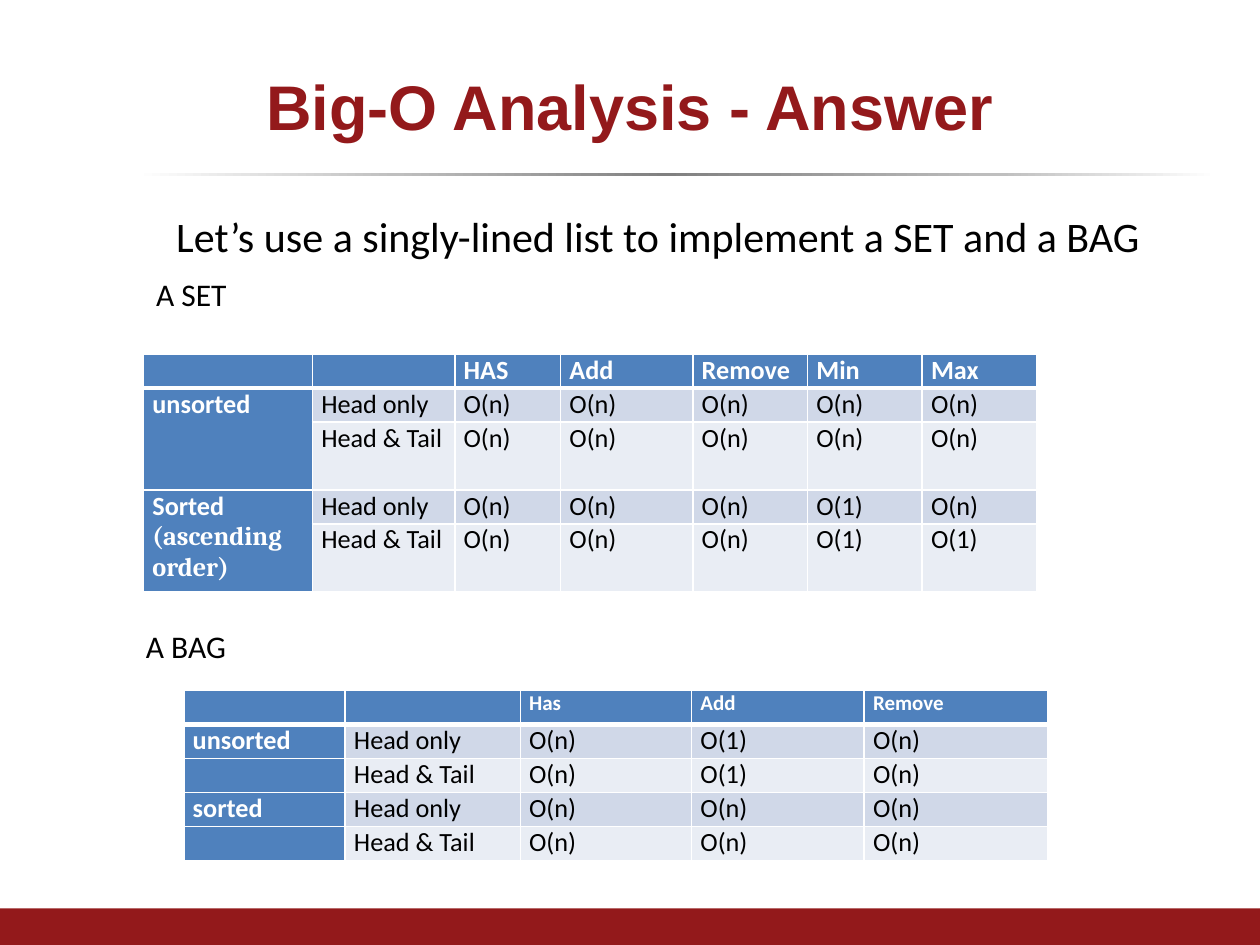
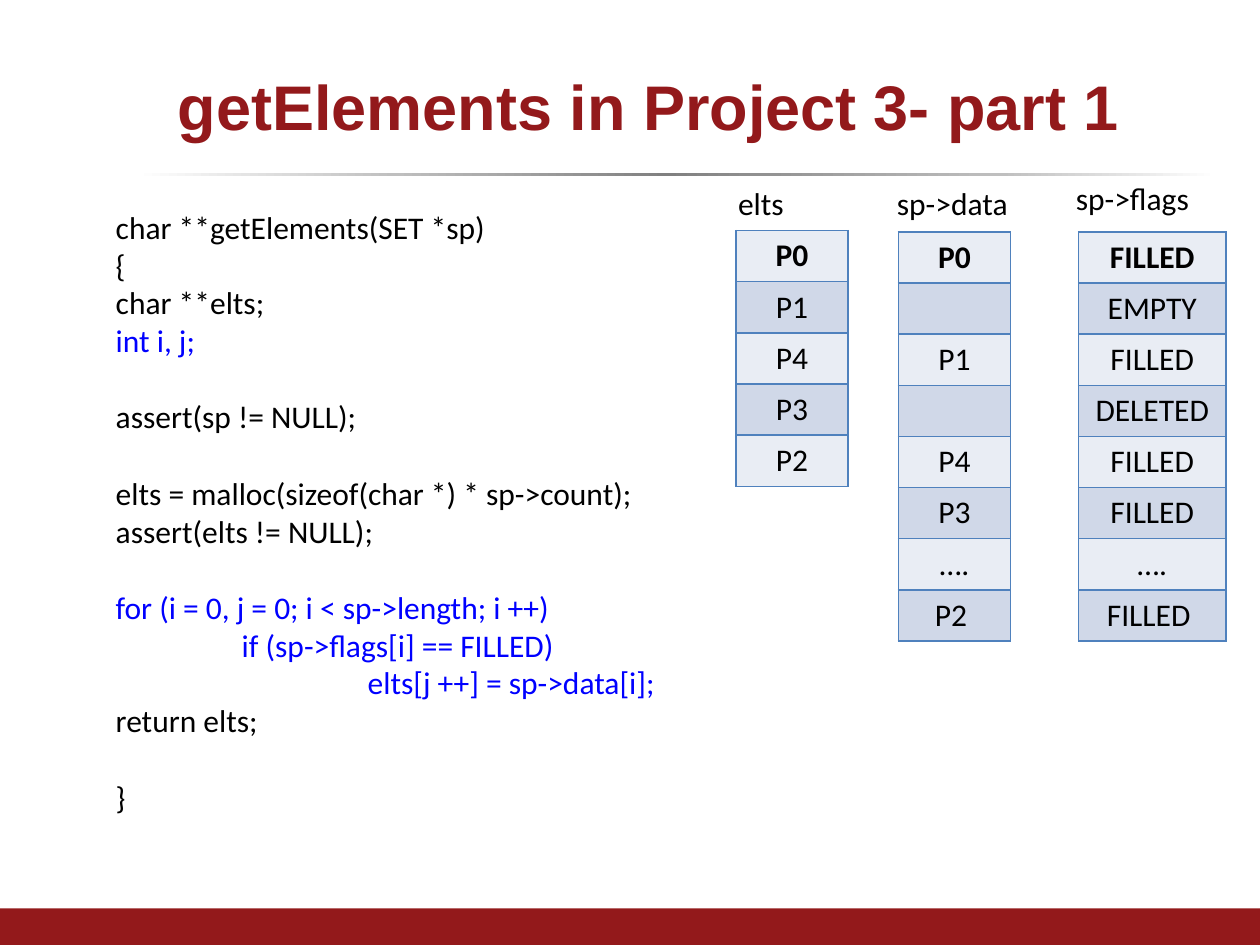
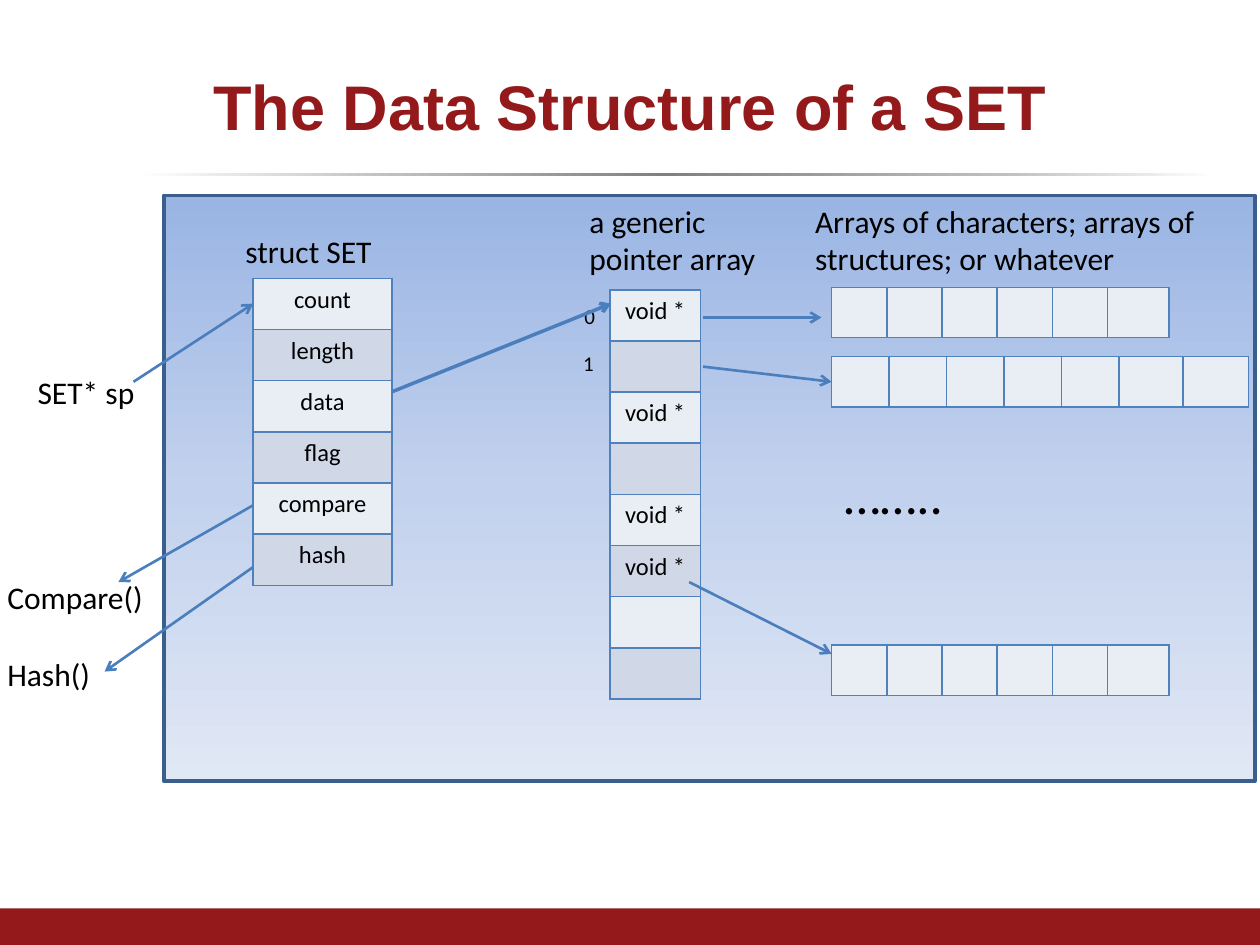
from lxml import etree
from pptx import Presentation
from pptx.dml.color import RGBColor
from pptx.enum import shapes, text
from pptx.oxml import ns
from pptx import util as u

RED = RGBColor(0x93, 0x19, 0x1B)
BLUE = RGBColor(0x4F, 0x81, 0xBD)
ARROW = RGBColor(0x4B, 0x7E, 0xBC)
FRAME = RGBColor(0x3A, 0x5F, 0x8C)
DARK = RGBColor(0xD0, 0xD8, 0xE8)
LIGHT = RGBColor(0xE9, 0xED, 0xF4)
WHITE = RGBColor(0xFF, 0xFF, 0xFF)
BLACK = RGBColor(0, 0, 0)
CODE = RGBColor(0, 0, 0xFF)
RULE = [(0, "FFFFFF"), (24, "BFBFBF"), (49, "808080"), (80, "BFBFBF"), (100, "FFFFFF")]
PANEL = [(0, "9AB5E4"), (50, "C2D1ED"), (100, "E1E8F5")]
LEFT, CENTER = text.PP_ALIGN.LEFT, text.PP_ALIGN.CENTER
COLUMNS, ROWS = 100, 75


def child(parent, tag, **attributes):
    return etree.SubElement(parent, ns.qn(tag), **attributes)


def write(frame, words, size=18, color=BLACK, font="Calibri", bold=False,
          align=LEFT, gap=0, indent=0, first=True):
    para = frame.paragraphs[0] if first else frame.add_paragraph()
    para.alignment = align
    para.space_before = u.Pt(gap)
    if indent:
        para._p.get_or_add_pPr().set("marL", str(u.Inches(indent)))
    if not words:
        para._p.get_or_add_endParaRPr().set("sz", str(size * 100))
        return
    span = para.add_run()
    span.text = words
    span.font.size = u.Pt(size)
    span.font.name = font
    span.font.bold = bold
    span.font.color.rgb = color


class Deck:
    def __init__(self):
        self.deck = Presentation()
        self.deck.slide_width, self.deck.slide_height = u.Inches(10), u.Inches(7.5)
        self.page = None

    def across(self, columns):
        return round(self.deck.slide_width * columns / COLUMNS)

    def down(self, rows):
        return round(self.deck.slide_height * rows / ROWS)

    def place(self, left, top, width, height):
        return self.across(left), self.down(top), self.across(width), self.down(height)

    def start(self, title, left=5):
        self.page = self.deck.slides.add_slide(self.deck.slide_layouts[6])
        self.gradient((10.8, 13.7, 85.8, 0.3), RULE)
        self.rectangle((0, 72.1, 100, 2.9), RED)
        frame = self.text((left, 3, 90, 10.7), title, size=36, color=RED,
                          font="Arial", bold=True, align=CENTER)
        frame.vertical_anchor = text.MSO_ANCHOR.MIDDLE

    def rectangle(self, area, color=None):
        box = self.page.shapes.add_shape(shapes.MSO_SHAPE.RECTANGLE, *self.place(*area))
        box.shadow.inherit = False
        box.line.fill.background()
        if color is not None:
            box.fill.solid()
            box.fill.fore_color.rgb = color
        return box

    def gradient(self, area, stops, angle=0):
        box = self.rectangle(area)
        box.fill.gradient()
        box.fill.gradient_angle = angle
        stop_list = box._element.spPr.find(".//" + ns.qn("a:gsLst"))
        for stop in list(stop_list):
            stop_list.remove(stop)
        for share, color in stops:
            stop = child(stop_list, "a:gs", pos=str(share * 1000))
            child(stop, "a:srgbClr", val=color)
        return box

    def text(self, area, words, **style):
        frame = self.page.shapes.add_textbox(*self.place(*area)).text_frame
        frame.word_wrap = True
        write(frame, words, **style)
        return frame

    def arrow(self, start, end, weight=1.5):
        line = self.page.shapes.add_connector(
            shapes.MSO_CONNECTOR.STRAIGHT,
            self.across(start[0]), self.down(start[1]), self.across(end[0]), self.down(end[1]))
        line.line.color.rgb = ARROW
        line.line.width = u.Pt(weight)
        child(line.line._get_or_add_ln(), "a:tailEnd", type="arrow")
        child(line._element.spPr, "a:effectLst")

    def borders(self, cell, color, bottom=1):
        properties = cell._tc.get_or_add_tcPr()
        for side, weight in zip("LRTB", (1, 1, 1, bottom)):
            edge = child(properties, "a:ln" + side, w=str(u.Pt(weight)))
            child(child(edge, "a:solidFill"), "a:srgbClr", val=str(color))

    def table(self, left, top, widths, heights):
        area = self.place(left, top, sum(widths), sum(heights))
        grid = self.page.shapes.add_table(len(heights), len(widths), *area).table
        grid.first_row = grid.horz_banding = False
        for column, width in zip(grid.columns, widths):
            column.width = self.across(width)
        for row, height in zip(grid.rows, heights):
            row.height = self.down(height)
        return grid

    def fill(self, cell, color, edge, bottom=1):
        self.borders(cell, edge, bottom)
        cell.fill.solid()
        cell.fill.fore_color.rgb = color

    def costs(self, left, top, widths, heights, rows, header_size=15):
        grid = self.table(left, top, widths, heights)
        for r, row in enumerate(rows):
            for c, words in enumerate(row):
                cell = grid.cell(r, c)
                heading = r == 0 or c == 0
                color = BLUE if heading else DARK if r % 2 else LIGHT
                self.fill(cell, color, WHITE, 1 if r else 3)
                cell.margin_left = cell.margin_right = u.Inches(0.07)
                cell.margin_top = cell.margin_bottom = 0
                write(cell.text_frame, words, size=15 if r else header_size,
                      bold=heading, color=WHITE if heading else BLACK)
        return grid

    def stack(self, left, top, width, entries, size=18, bold_first=False):
        grid = self.table(left, top, [width], [4.06] * len(entries))
        for r, words in enumerate(entries):
            cell = grid.cell(r, 0)
            self.fill(cell, DARK if r % 2 else LIGHT, BLUE)
            write(cell.text_frame, words, size=size, align=CENTER,
                  bold=bold_first and r == 0)

    def strip(self, left, top, widths):
        grid = self.table(left, top, widths, [4])
        for cell in grid.iter_cells():
            self.fill(cell, LIGHT, BLUE)
            write(cell.text_frame, "")


show = Deck()
N, ONE = "O(n)", "O(1)"
HEAD, TAIL = "Head only", "Head & Tail"

show.start("Big-O Analysis - Answer")
set_costs = show.costs(
    11.4, 28.1, [13.4, 11.3, 8.4, 10.5, 9.1, 9.1, 9.1], [2.7, 2.7, 5.4, 2.7, 5.4],
    [["", "", "HAS", "Add", "Remove", "Min", "Max"],
     ["unsorted", HEAD, N, N, N, N, N],
     ["", TAIL, N, N, N, N, N],
     ["Sorted", HEAD, N, N, N, ONE, N],
     ["", TAIL, N, N, N, ONE, ONE]])
write(set_costs.cell(3, 0).text_frame, "(ascending order)", size=15, color=WHITE,
      font="Cambria", bold=True, first=False)
for top in (1, 3):
    set_costs.cell(top, 0).merge(set_costs.cell(top + 1, 0))
show.text((13, 16.2, 79.5, 5), "Let’s use a singly-lined list to implement a SET and a BAG", size=24)
show.text((11.4, 21.3, 22.8, 4), "A SET")
show.text((10.6, 49.3, 22.8, 4), "A BAG")
show.costs(
    14.6, 54.8, [12.8, 13.9, 13.6, 13.7, 14.6], [2.7] * 5,
    [["", "", "Has", "Add", "Remove"],
     ["unsorted", HEAD, N, ONE, N],
     ["", TAIL, N, ONE, N],
     ["sorted", HEAD, N, N, N],
     ["", TAIL, N, N, N]], header_size=12)

BLANK_LINE = 22
show.start("getElements in Project 3- part 1", left=6.5)
listing = show.text((8.2, 16, 85.8, 52.5), "char **getElements(SET *sp)")
for words, style in [
    ("{", {}),
    ("char **elts;", {}),
    ("int i, j;", {"color": CODE}),
    ("assert(sp != NULL);", {"gap": BLANK_LINE}),
    ("elts = malloc(sizeof(char *) * sp->count);", {"gap": BLANK_LINE}),
    ("assert(elts != NULL);", {}),
    ("for (i = 0, j = 0; i < sp->length; i ++)", {"color": CODE, "gap": BLANK_LINE}),
    ("if (sp->flags[i] == FILLED)", {"color": CODE, "indent": 1}),
    ("elts[j ++] = sp->data[i];", {"color": CODE, "indent": 2}),
    ("return elts;", {}),
    ("}", {"gap": BLANK_LINE}),
]:
    write(listing, words, first=False, **style)
for label, label_at, left, top, width, entries in [
    ("elts", (57.6, 14.1), 58.4, 18.3, 8.9, ["P0", "P1", "P4", "P3", "P2"]),
    ("sp->data", (70.2, 14.1), 71.3, 18.4, 8.9,
     ["P0", "", "P1", "", "P4", "P3", "….", "P2 "]),
    ("sp->flags", (84.4, 13.7), 85.6, 18.4, 11.7,
     ["FILLED", "EMPTY", "FILLED", "DELETED", "FILLED", "FILLED", "….", "FILLED "]),
]:
    show.stack(left, top, width, entries, bold_first=True)
    show.text((*label_at, 12.6, 4), label)

show.start("The Data Structure of a SET")
panel = show.gradient((13, 15.5, 86.6, 46.5), PANEL, angle=270)
panel.line.color.rgb = FRAME
panel.line.width = u.Pt(2)
VOID = "void *"
show.stack(48.4, 23, 7.2, [VOID, "", VOID, "", VOID, VOID, "", ""], size=14)
show.stack(20.1, 22.1, 11, ["count", "length", "data", "flag", "compare", "hash"], size=14)
SIX = [4.38] * 5 + [4.9]
SEVEN = [4.56] * 5 + [5.1, 5.2]
for top, widths in [(22.8, SIX), (28.3, SEVEN), (51.2, SIX)]:
    show.strip(66, top, widths)
for area, words, size in [
    ((66, 36.2, 20.5, 6.1), "……..", 30),
    ((63.7, 15.5, 39.1, 7.1), "Arrays of characters; arrays of structures; or whatever ", 18),
    ((45.4, 23.6, 3.1, 3), "0", 12),
    ((45.3, 27.3, 3.1, 3), "1", 12),
    ((45.8, 15.5, 16, 7.1), "a generic pointer array", 18),
    ((18.5, 17.9, 15, 4), "struct SET", 18),
    ((2, 29.1, 15, 4), "SET* sp", 18),
]:
    show.text(area, words, size=size)
functions = show.text((-0.4, 45.4, 13.4, 10.1), "Compare()")
write(functions, "Hash()", gap=BLANK_LINE, first=False)
for start, end in [
    ((55.8, 25.2), (65.2, 25.2)),
    ((55.8, 29.1), (66, 30.3)),
    ((54.7, 46.2), (66, 51.9)),
    ((10.6, 30.3), (20.1, 24.1)),
    ((20.1, 40.1), (9.4, 46.2)),
    ((20.1, 45), (8.3, 53.3)),
]:
    show.arrow(start, end)
show.arrow((31.1, 31.1), (48.5, 24.1), weight=2)

show.deck.save("out.pptx")
